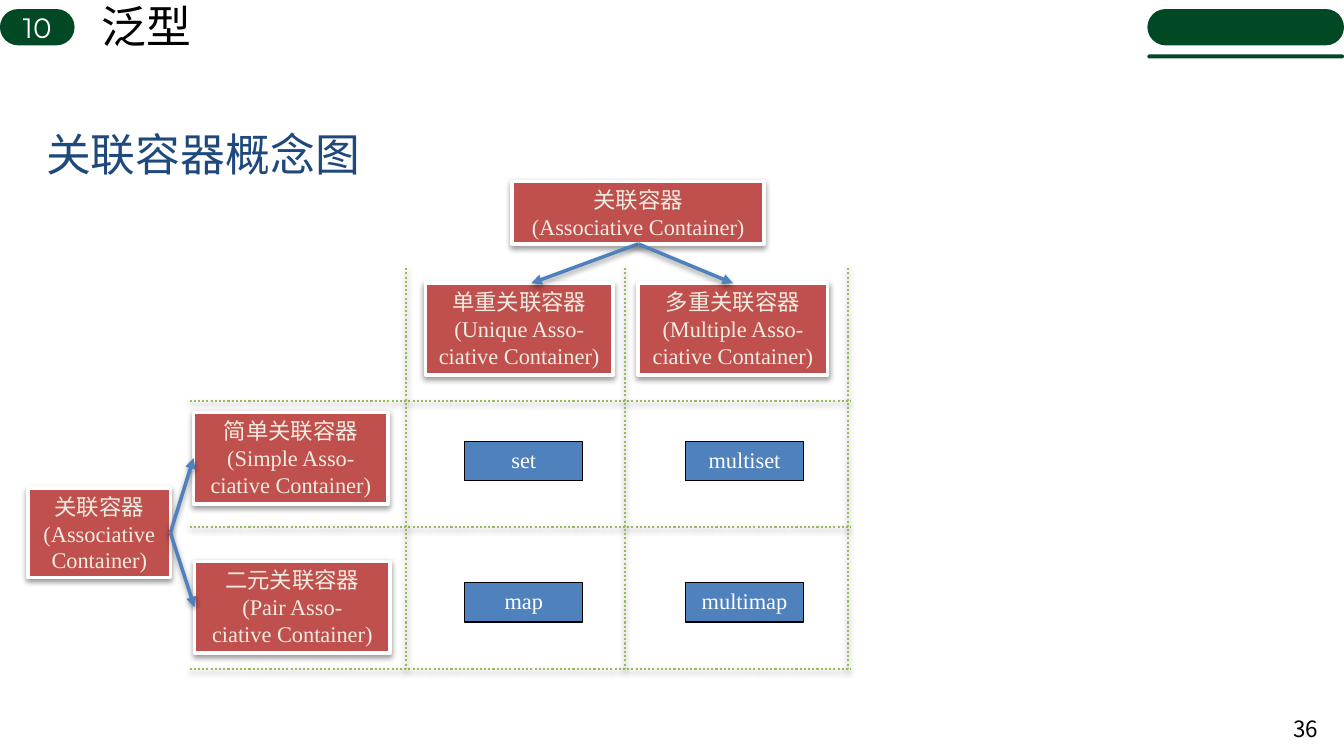
from lxml import etree
from pptx import Presentation
from pptx.dml.color import RGBColor
from pptx.enum.dml import MSO_LINE
from pptx.enum.shapes import MSO_CONNECTOR, MSO_SHAPE
from pptx.enum.text import MSO_ANCHOR, MSO_AUTO_SIZE, PP_ALIGN
from pptx.oxml.ns import qn
from pptx.util import Inches, Pt

LINE = MSO_CONNECTOR.STRAIGHT
RECT, PILL = MSO_SHAPE.RECTANGLE, MSO_SHAPE.ROUNDED_RECTANGLE
LEFT, MID, RIGHT = PP_ALIGN.LEFT, PP_ALIGN.CENTER, PP_ALIGN.RIGHT
TOP, MIDDLE = MSO_ANCHOR.TOP, MSO_ANCHOR.MIDDLE
GROW, DOTS = MSO_AUTO_SIZE.SHAPE_TO_FIT_TEXT, MSO_LINE.ROUND_DOT
GREEN, RED, BLUE, LIME = "014924", "C0504D", "4F81BD", "9BBB59"
WHITE, BLACK, CREAM, NAVY = "FFFFFF", "000000", "EEECE1", "1F497D"
SERIF, SANS = "Times New Roman", "Montserrat"
rgb = RGBColor.from_string


def write(shape, text, size, font, color, align=MID, anchor=TOP):
    frame = shape.text_frame
    frame.text = text
    frame.word_wrap = True
    frame.vertical_anchor = anchor
    for para in frame.paragraphs:
        para.alignment = align
        for run in para.runs:
            run.font.size = Pt(size)
            run.font.name = font
            run.font.color.rgb = rgb(color)


def shade(shape):
    props = shape._element.spPr
    for old in props.findall(qn("a:effectLst")):
        props.remove(old)
    effects = etree.SubElement(props, qn("a:effectLst"))
    outer = etree.SubElement(effects, qn("a:outerShdw"), blurRad=str(Pt(4.1)),
                             dist=str(Pt(2)), dir="5400000", rotWithShape="0")
    color = etree.SubElement(outer, qn("a:srgbClr"), val=BLACK)
    etree.SubElement(color, qn("a:alpha"), val="40000")


deck = Presentation()
deck.slide_width, deck.slide_height = Inches(13.33), Inches(7.5)
slide = deck.slides.add_slide(deck.slide_layouts[6])
shapes = slide.shapes

# Header pills and section number
for x, y, w, h, label in [(11.38, 0.09, 1.95, 0.36, ""),
                          (11.38, 0.54, 1.95, 0.04, ""),
                          (0, 0.09, 0.74, 0.36, "10")]:
    pill = shapes.add_shape(PILL, Inches(x), Inches(y), Inches(w), Inches(h))
    pill.adjustments[0] = 0.5
    pill.shadow.inherit = False
    pill.fill.solid()
    pill.fill.fore_color.rgb = rgb(GREEN)
    pill.line.fill.background()
    if label:
        write(pill, label, 20, SANS, WHITE, anchor=MIDDLE)

# Page number, section title and heading
page = shapes.add_textbox(Inches(12.68), Inches(7.03), Inches(0.49), Inches(0.4))
write(page, "36", 16, "Noto Sans CJK SC", BLACK, RIGHT, MIDDLE)
title = shapes.add_textbox(Inches(0.91), Inches(-0.06), Inches(1.1), Inches(0.64))
write(title, "泛型", 32, "Arial", BLACK, LEFT)
title.text_frame.word_wrap = False
title.text_frame.auto_size = GROW
head = shapes.add_textbox(Inches(0.36), Inches(1.08), Inches(9), Inches(0.88))
write(head, "关联容器概念图", 32, SANS, NAVY, LEFT, MIDDLE)

# Concept boxes
concepts = [
    ("top", 5.08, 1.8, 2.5, 0.62, "关联容器\n(Associative Container)"),
    ("unique", 4.22, 2.81, 1.86, 0.91, "单重关联容器\n(Unique Asso-\vciative Container)"),
    ("multi", 6.33, 2.81, 1.88, 0.91, "多重关联容器\n(Multiple Asso-\vciative Container)"),
    ("side", 0.28, 4.84, 1.41, 0.89, "关联容器\n(Associative Container)"),
    ("simple", 1.92, 4.09, 1.93, 0.91, "简单关联容器\n(Simple Asso-\vciative Container)"),
    ("pair", 1.93, 5.57, 1.94, 0.91, "二元关联容器\n(Pair Asso-\vciative Container)"),
]
boxes = {}
for name, x, y, w, h, text in concepts:
    box = shapes.add_shape(RECT, Inches(x), Inches(y), Inches(w), Inches(h))
    box.fill.solid()
    box.fill.fore_color.rgb = rgb(RED)
    box.line.color.rgb = rgb(WHITE)
    box.line.width = Pt(2.5)
    shade(box)
    write(box, text, 16, SERIF, CREAM)
    boxes[name] = box

# Arrows from each root to its kinds; the unique one lands off centre
for root, start, kind, end in [("top", 2, "unique", None), ("top", 2, "multi", 0),
                               ("side", 3, "simple", 1), ("side", 3, "pair", 1)]:
    arrow = shapes.add_connector(LINE, Inches(6.31), Inches(2.42),
                                 Inches(5.27), Inches(2.81))
    arrow.begin_connect(boxes[root], start)
    if end is not None:
        arrow.end_connect(boxes[kind], end)
    arrow.line.color.rgb = rgb(BLUE)
    arrow.line.width = Pt(2.5)
    etree.SubElement(arrow.line._get_or_add_ln(), qn("a:tailEnd"), type="triangle")
    shade(arrow)

# Dotted grid
rows = [(1.88, y, 8.44, y) for y in (3.98, 5.23, 6.64)]
cols = [(x, 2.66, x, 6.64) for x in (4.03, 6.2, 8.41)]
for ends in rows + cols:
    rule = shapes.add_connector(LINE, *[Inches(v) for v in ends])
    rule.line.color.rgb = rgb(LIME)
    rule.line.width = Pt(1.5)
    rule.line.dash_style = DOTS
    shade(rule)

# Container types in the grid cells
for y, names in [(4.38, ("set", "multiset")), (5.78, ("map", "multimap"))]:
    for x, name in zip((4.61, 6.8), names):
        cell = shapes.add_shape(RECT, Inches(x), Inches(y), Inches(1.17), Inches(0.39))
        cell.shadow.inherit = False
        cell.fill.solid()
        cell.fill.fore_color.rgb = rgb(BLUE)
        cell.line.color.rgb = rgb(BLACK)
        cell.line.width = Pt(1)
        write(cell, name, 16, SERIF, WHITE)

deck.save("out.pptx")
